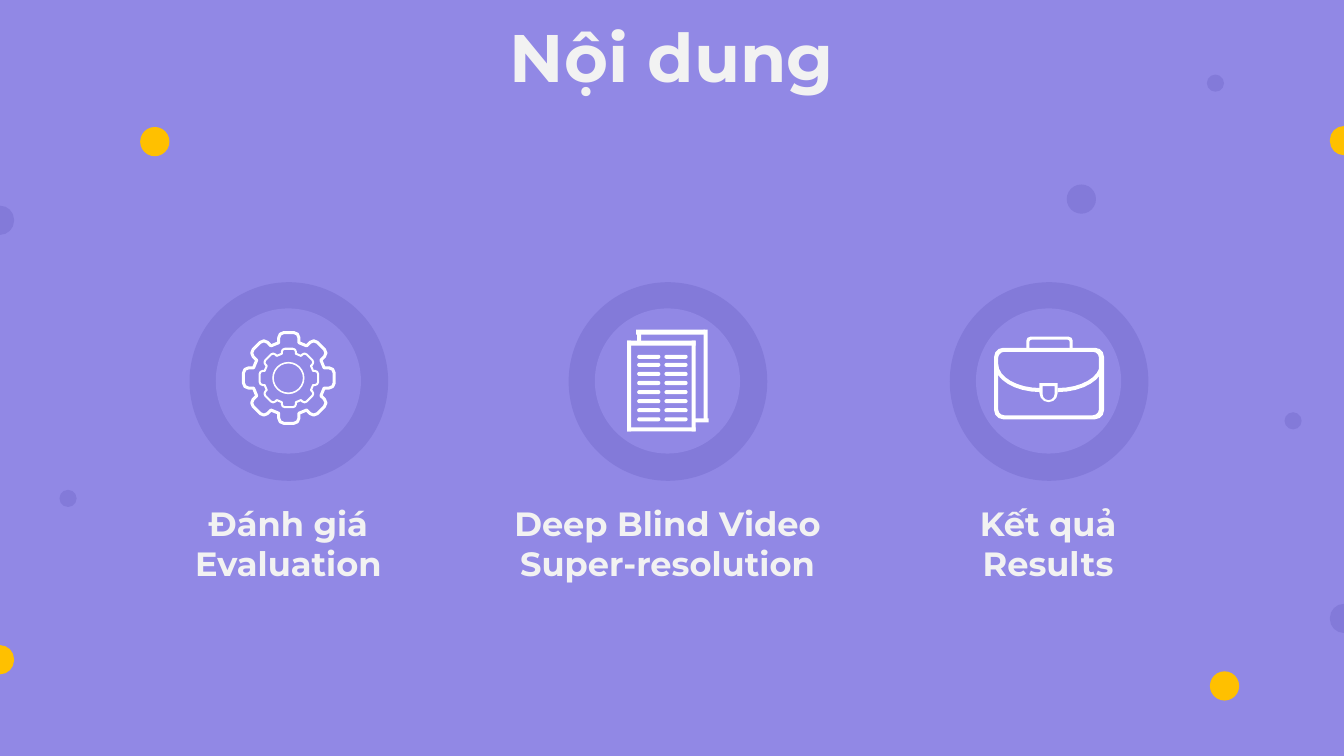
import math
from dataclasses import dataclass
from typing import NamedTuple

from pptx import Presentation
from pptx.dml.color import RGBColor
from pptx.enum.shapes import MSO_SHAPE
from pptx.enum.text import MSO_ANCHOR, MSO_AUTO_SIZE, PP_ALIGN
from pptx.shapes.autoshape import Shape
from pptx.shapes.shapetree import GroupShapes, SlideShapes
from pptx.util import Emu, Pt

EMU_PER_PX = 9144  # 100 px to the inch
SLIDE_W, SLIDE_H = 1333, 750
TITLE_ONLY = 5
FONT = "Montserrat"

LAVENDER = RGBColor(0x91, 0x88, 0xE5)
VIOLET = RGBColor(0x83, 0x7A, 0xD9)
AMBER = RGBColor(0xFF, 0xC0, 0x00)
WHITE = RGBColor(0xFF, 0xFF, 0xFF)
OFF_WHITE = RGBColor(0xF2, 0xF2, 0xF2)

OVAL, DONUT = MSO_SHAPE.OVAL, MSO_SHAPE.DONUT
RECT, ROUND_RECT = MSO_SHAPE.RECTANGLE, MSO_SHAPE.ROUNDED_RECTANGLE
CENTER, TOP = PP_ALIGN.CENTER, MSO_ANCHOR.TOP
GROW = MSO_AUTO_SIZE.SHAPE_TO_FIT_TEXT

Shapes = SlideShapes | GroupShapes
Point = tuple[float, float]
Outline = list[Point]


class Box(NamedTuple):
    left: int
    top: int
    width: int
    height: int


class Corner(NamedTuple):
    x: float
    y: float
    radius: float = 0


@dataclass(frozen=True)
class Topic:
    ring_left: int
    label_box: Box
    label: str


@dataclass(frozen=True)
class Dot:
    left: int
    top: int
    size: int
    color: RGBColor


@dataclass(frozen=True)
class EdgeDot:
    """Half a dot, cut by the slide edge at edge_x and bulging by reach."""
    edge_x: int
    top: int
    reach: int
    color: RGBColor


TOPICS = [
    Topic(188, Box(173, 494, 226, 91), "Đánh giá\nEvaluation"),
    Topic(564, Box(481, 494, 362, 91), "Deep Blind Video Super-resolution"),
    Topic(942, Box(833, 494, 413, 91), "Kết quả\nResults"),
]
DOTS = [
    Dot(59, 486, 17, VIOLET), Dot(139, 126, 29, AMBER),
    Dot(1274, 409, 17, VIOLET), Dot(1197, 74, 17, VIOLET),
    Dot(1200, 666, 29, AMBER), Dot(1058, 183, 29, VIOLET),
]
EDGE_DOTS = [
    EdgeDot(0, 640, 14, AMBER), EdgeDot(0, 204, 14, VIOLET),
    EdgeDot(SLIDE_W, 599, -14, VIOLET), EdgeDot(SLIDE_W, 125, -14, AMBER),
]
PAGE_EDGES = [
    Box(622, 338, 4, 90), Box(686, 338, 4, 90),
    Box(622, 338, 68, 5), Box(622, 424, 68, 4),
    Box(632, 329, 4, 11), Box(631, 327, 68, 5),
    Box(698, 327, 4, 90), Box(687, 415, 16, 4),
]


def px(length: float) -> Emu:
    return Emu(round(length * EMU_PER_PX))


def paint(shape: Shape, color: RGBColor, stroke: int = 0) -> None:
    """Fill the shape, or only outline it when a stroke width is given."""
    shape.shadow.inherit = False
    drawn, empty = (shape.line.fill, shape.fill) if stroke else (shape.fill, shape.line.fill)
    drawn.solid()
    drawn.fore_color.rgb = color
    empty.background()
    if stroke:
        shape.line.width = px(stroke)


def add_preset(shapes: Shapes, kind: int, box: Box, color: RGBColor,
               adjustment: float | None = None) -> None:
    shape = shapes.add_shape(kind, *map(px, box))
    if adjustment is not None:
        shape.adjustments[0] = adjustment
    paint(shape, color)


def write(shape: Shape, box: Box, text: str, *, size: int) -> None:
    shape.left, shape.top, shape.width, shape.height = map(px, box)
    frame = shape.text_frame
    frame.text = text
    frame.word_wrap = True
    frame.auto_size = GROW
    frame.vertical_anchor = TOP
    for paragraph in frame.paragraphs:
        paragraph.alignment = CENTER
        font = paragraph.font
        font.name, font.size, font.bold = FONT, Pt(size), True
        font.color.rgb = OFF_WHITE


def toward(start: Point, end: Point, share: float) -> Point:
    return tuple(a + (b - a) * share for a, b in zip(start, end))


def rounded(corners: list[Corner]) -> Outline:
    """Trace a polygon, rounding each corner; a radius stops at the edge's end."""
    points: Outline = []
    for i, corner in enumerate(corners):
        tip = corner[:2]
        if not corner.radius:
            points.append(tip)
            continue
        ends = []
        for neighbour in (corners[i - 1][:2], corners[(i + 1) % len(corners)][:2]):
            share = min(1, corner.radius / math.dist(tip, neighbour))
            ends.append(toward(tip, neighbour, share))
        curve = (ends[0], toward(ends[0], tip, 0.55), toward(ends[1], tip, 0.55), ends[1])
        steps = min(8, 2 + int(corner.radius) // 6)
        for step in range(steps + 1):
            t = step / steps
            weights = ((1 - t) ** 3, 3 * t * (1 - t) ** 2, 3 * t * t * (1 - t), t ** 3)
            points.append(tuple(sum(w * p[axis] for w, p in zip(weights, curve))
                                for axis in (0, 1)))
    return points


def add_outlines(shapes: Shapes, outlines: list[Outline], color: RGBColor,
                 stroke: int = 0) -> None:
    """Draw the outlines as one shape; an inner one cuts a hole."""
    scaled = [[(px(x), px(y)) for x, y in outline] for outline in outlines]
    builder = shapes.build_freeform(*scaled[0][0])
    for i, (start, *others) in enumerate(scaled):
        if i:
            builder.move_to(*start)
        builder.add_line_segments(others, close=True)
    paint(builder.convert_to_shape(), color, stroke)


def rounded_box(left: int, top: int, right: int, bottom: int, radius: int) -> Outline:
    return rounded([Corner(left, top, radius), Corner(right, top, radius),
                    Corner(right, bottom, radius), Corner(left, bottom, radius)])


def gear(half_tooth: int, root: int, tip: int, radius: int) -> Outline:
    center_x, center_y, teeth = 286.5, 375, 8
    tooth = [Corner(-half_tooth, -root), Corner(-half_tooth, -tip, radius),
             Corner(half_tooth, -tip, radius), Corner(half_tooth, -root)]
    corners = []
    for i in range(teeth):
        cos, sin = math.cos(math.tau * i / teeth), math.sin(math.tau * i / teeth)
        corners += [Corner(center_x + x * cos - y * sin,
                           center_y + x * sin + y * cos, r) for x, y, r in tooth]
    return rounded(corners)


def draw_gear_icon(shapes: Shapes) -> None:
    add_outlines(shapes, [gear(10, 35, 45, 5)], WHITE, stroke=3)
    add_outlines(shapes, [gear(7, 24, 29, 3)], WHITE, stroke=2)
    add_preset(shapes, DONUT, Box(270, 359, 32, 32), WHITE, 0.05)


def draw_pages_icon(shapes: Shapes) -> None:
    for edge in PAGE_EDGES:
        add_preset(shapes, RECT, edge, WHITE)
    for row in range(8):
        for left in (632, 659):
            add_preset(shapes, ROUND_RECT, Box(left, 352 + row * 62 // 7, 23, 4), WHITE, 0.5)


def draw_briefcase_icon(shapes: Shapes) -> None:
    add_outlines(shapes, [rounded_box(986, 345, 1095, 416, 9),
                          rounded_box(990, 349, 1090, 412, 6)], WHITE)
    flap = [Corner(986, 361), Corner(986, 389, 99), Corner(1032, 389),
            Corner(1032, 385), Corner(990, 385, 99), Corner(990, 361)]
    mirrored = [Corner(2081 - x, y, radius) for x, y, radius in flap]
    add_outlines(shapes, [rounded(flap), rounded(mirrored)], WHITE)
    add_outlines(shapes, [rounded([
        Corner(1018, 346), Corner(1018, 334, 4), Corner(1064, 334, 4), Corner(1064, 346),
        Corner(1061, 346), Corner(1061, 337, 2), Corner(1021, 337, 2), Corner(1021, 346),
    ])], WHITE)
    clasp = [Corner(1031, 380), Corner(1049, 380), Corner(1049, 399, 9), Corner(1031, 399, 9)]
    hollow = [Corner(1034, 383), Corner(1046, 383), Corner(1046, 397, 6), Corner(1034, 397, 6)]
    add_outlines(shapes, [rounded(clasp), rounded(hollow)], WHITE)


def main() -> None:
    deck = Presentation()
    deck.slide_width, deck.slide_height = px(SLIDE_W), px(SLIDE_H)
    slide = deck.slides.add_slide(deck.slide_layouts[TITLE_ONLY])
    slide.background.fill.solid()
    slide.background.fill.fore_color.rgb = LAVENDER
    shapes = slide.shapes
    write(shapes.title, Box(402, 10, 529, 91), "Nội dung", size=48)

    for dot in DOTS:
        add_preset(shapes, OVAL, Box(dot.left, dot.top, dot.size, dot.size), dot.color)
    for dot in EDGE_DOTS:
        far_x, bottom = dot.edge_x + dot.reach, dot.top + 29
        add_outlines(shapes, [rounded([
            Corner(dot.edge_x, dot.top), Corner(far_x, dot.top, 14),
            Corner(far_x, bottom, 14), Corner(dot.edge_x, bottom)])], dot.color)

    for topic, draw_icon in zip(TOPICS, (draw_gear_icon, draw_pages_icon, draw_briefcase_icon)):
        add_preset(shapes, OVAL, Box(topic.ring_left, 280, 197, 197), VIOLET)
        add_preset(shapes, OVAL, Box(topic.ring_left + 26, 306, 144, 144), LAVENDER)
        draw_icon(shapes.add_group_shape().shapes)
        label = shapes.add_textbox(*map(px, topic.label_box))
        write(label, topic.label_box, topic.label, size=24)

    deck.save("out.pptx")


if __name__ == "__main__":
    main()
